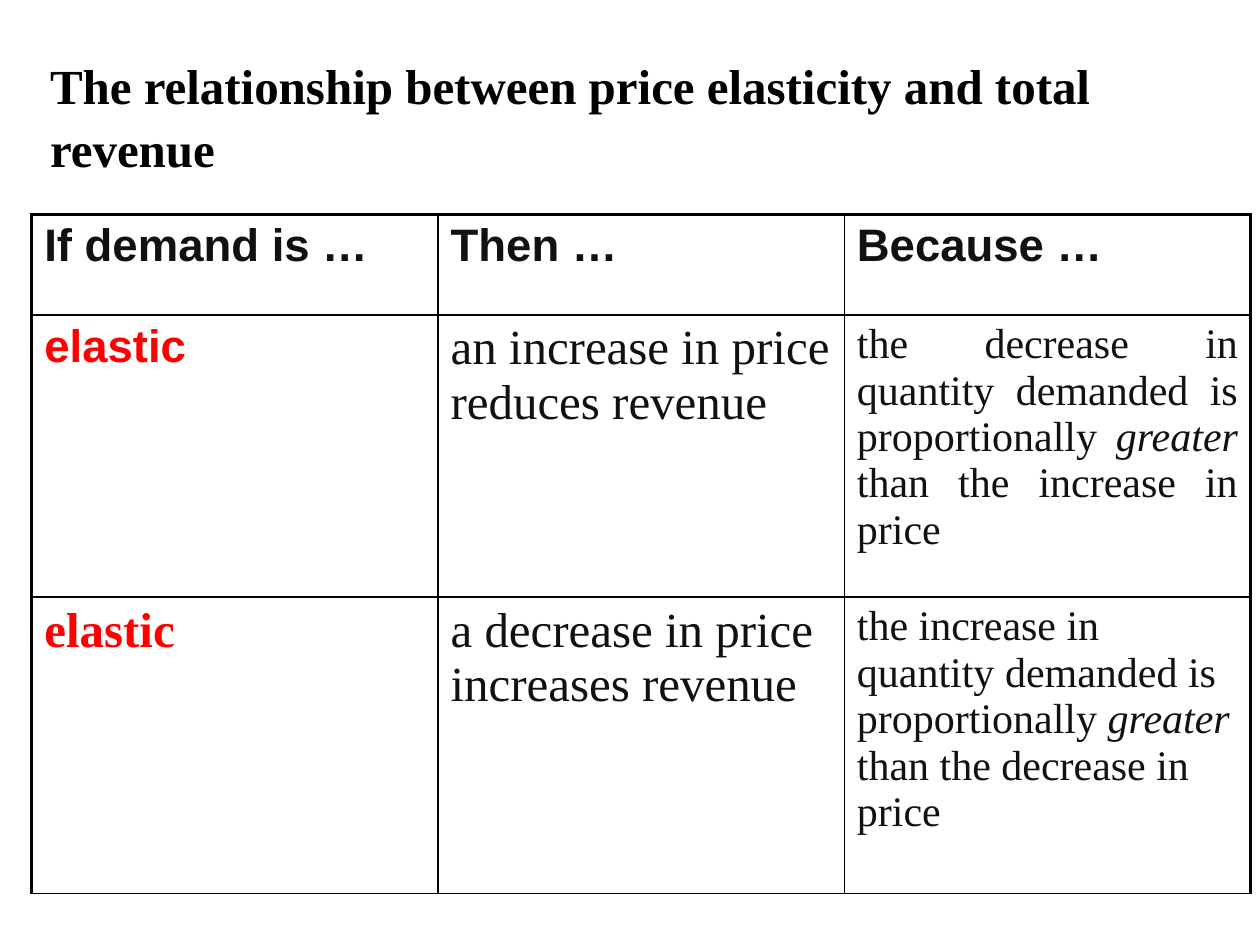
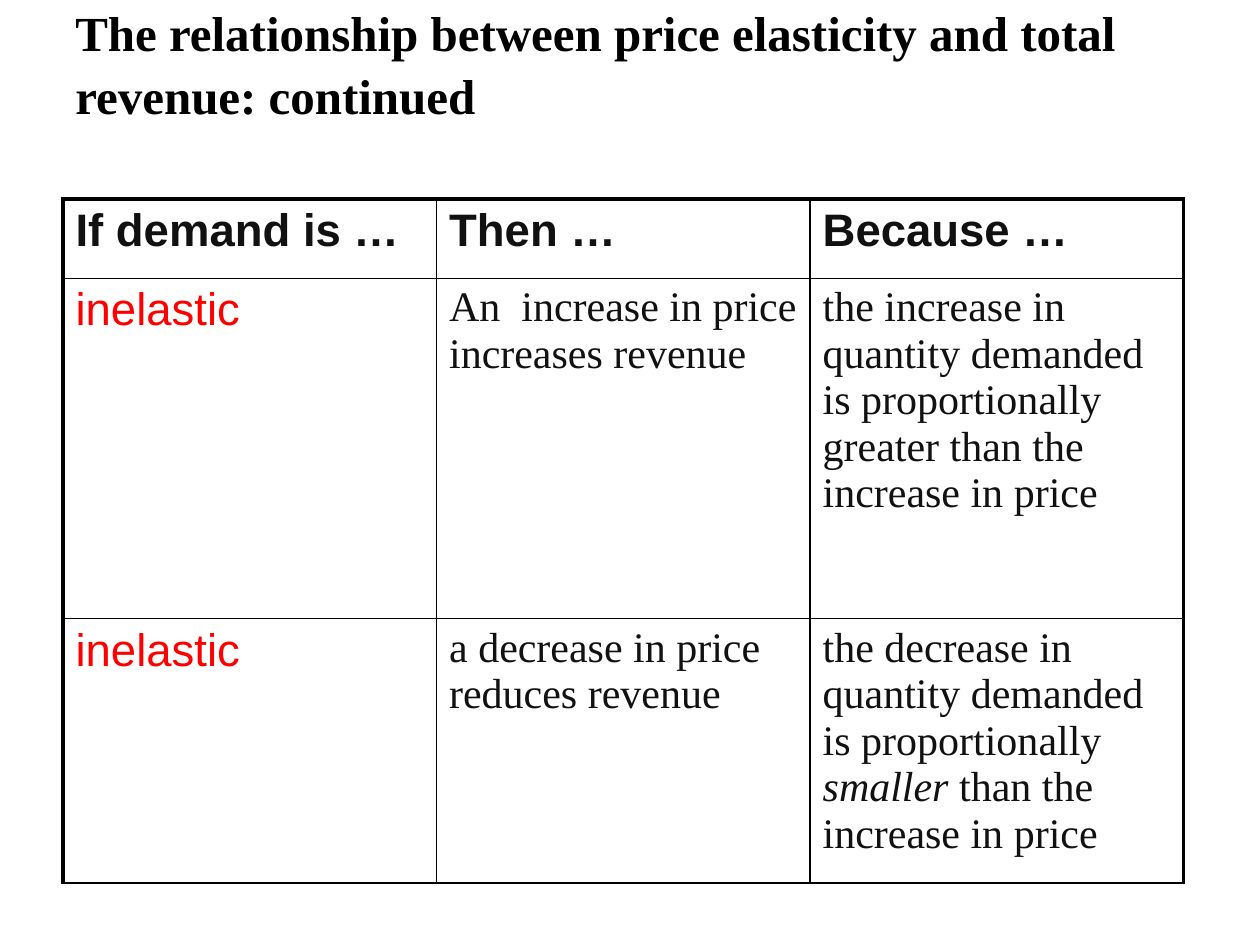
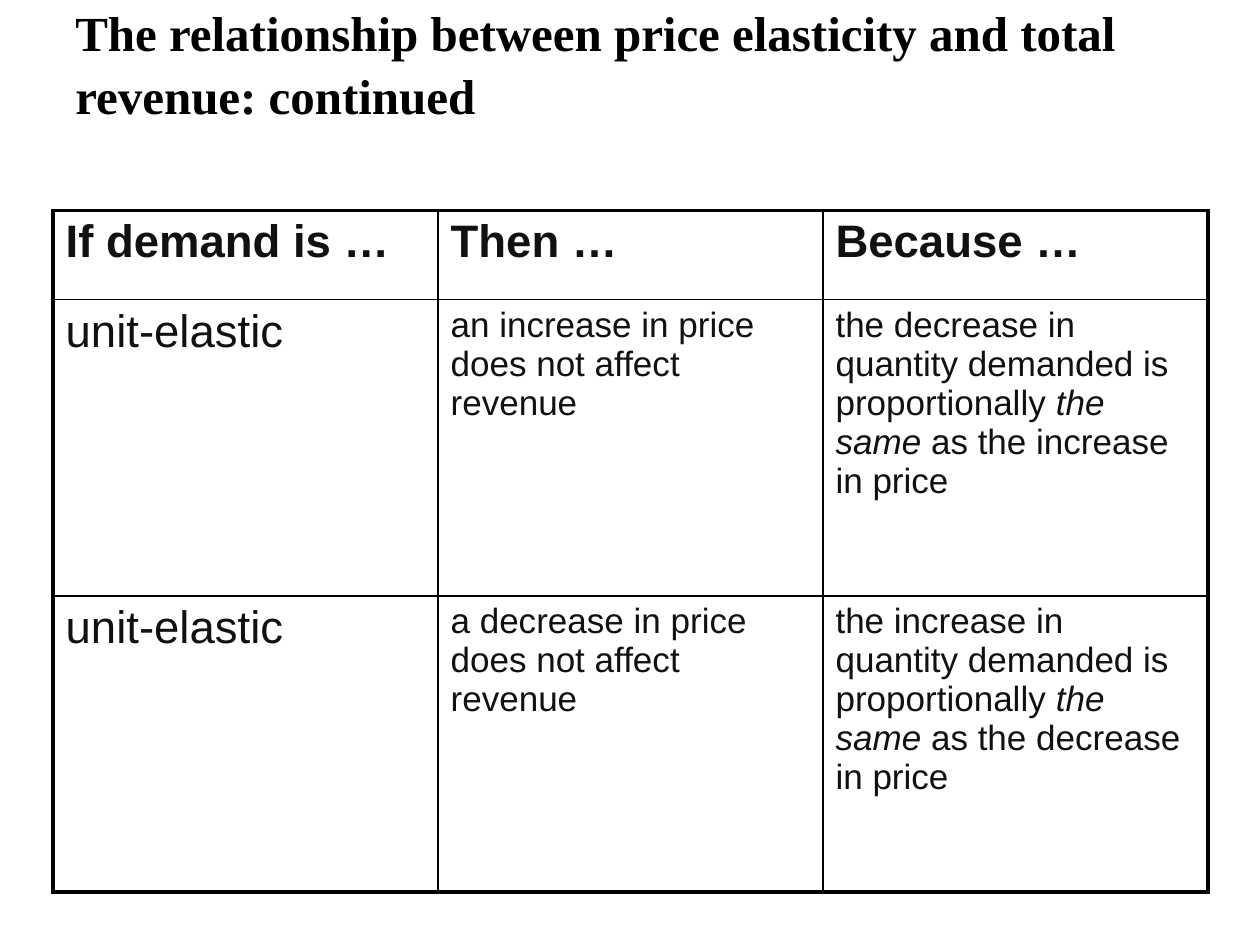
from dataclasses import dataclass

from lxml.etree import SubElement
from pptx import Presentation
from pptx.dml.color import RGBColor as RGB
from pptx.enum.text import MSO_ANCHOR as ANCHOR, PP_ALIGN as ALIGN
from pptx.oxml.ns import qn
from pptx.slide import Slide
from pptx.table import _Cell as TableCell
from pptx.util import Cm, Pt


# Theme: colours, fonts, type sizes and line widths
@dataclass(frozen=True)
class Theme:
    paper: str = "FFFFFF"
    ink: str = "000000"
    body: str = "111111"
    accent: str = "FF0000"
    sans: str = "Arial"
    serif: str = "Times New Roman"
    large: int = 28
    head: int = 26
    text: int = 24
    small: int = 20
    thin: float = 1
    thick: float = 2.25
    title_spacing: float = 1.08


T = Theme()


@dataclass(frozen=True)
class Style:
    font: str
    size: int
    color: str = T.body
    bold: bool = False


@dataclass(frozen=True)
class Cell:
    text: str  # asterisks enclose italics
    style: Style
    align: ALIGN = ALIGN.LEFT


@dataclass(frozen=True)
class Box:
    left: float
    top: float
    width: float
    height: float


@dataclass(frozen=True)
class Grid:
    left: float
    top: float
    col_width: float
    row_heights: tuple[float, ...]
    bottom_line: float = T.thin


@dataclass(frozen=True)
class Page:
    title: str
    title_box: Box
    grid: Grid
    rows: tuple[tuple[Cell, ...], ...]


TITLE = Style(T.serif, T.large, T.ink, True)
HEAD = Style(T.sans, T.head, bold=True)
ELASTIC = Style(T.sans, T.head, T.accent, True)
ELASTIC_SERIF = Style(T.serif, T.large, T.accent, True)
INELASTIC = Style(T.sans, T.head, T.accent)
UNIT = Style(T.sans, T.head)
EFFECT = Style(T.serif, T.large)
REASON = Style(T.serif, T.text)
SMALL = Style(T.sans, T.small)

HEADER = tuple(Cell(t, HEAD) for t in ("If demand is …", "Then …", "Because …"))
HEADING = "The relationship between price elasticity and total revenue"
CONTINUED = f"{HEADING}: continued"
CONTINUED_BOX = Box(1.27, 0, 22.58, 2.64)

PAGES = (
    Page(HEADING, Box(0.76, 0.03, 23.06, 3.68),
         Grid(0.64, 4.32, 8.19, (2.03, 5.69, 5.97)), (
        (Cell("elastic", ELASTIC),
         Cell("an increase in price reduces revenue", EFFECT),
         Cell("the decrease in quantity demanded is proportionally *greater* "
              "than the increase in price", REASON, ALIGN.JUSTIFY)),
        (Cell("elastic", ELASTIC_SERIF),
         Cell("a decrease in price increases revenue", EFFECT),
         Cell("the increase in quantity demanded is proportionally *greater *"
              "than the decrease in price", REASON)),
    )),
    Page(CONTINUED, CONTINUED_BOX,
         Grid(1.27, 4.01, 7.53, (1.6, 6.86, 5.31)), (
        (Cell("inelastic", INELASTIC),
         Cell("An  increase in price increases revenue", REASON),
         Cell("the increase in quantity demanded is proportionally greater "
              "than the increase in price", REASON)),
        (Cell("inelastic", INELASTIC),
         Cell("a decrease in price reduces revenue", REASON),
         Cell("the decrease in quantity demanded is proportionally *smaller* "
              "than the increase in price", REASON)),
    )),
    Page(CONTINUED, CONTINUED_BOX,
         Grid(1.07, 4.24, 7.76, (1.8, 5.97, 5.97), T.thick), (
        (Cell("unit-elastic", UNIT),
         Cell("an increase in price does not affect revenue", SMALL),
         Cell("the decrease in quantity demanded is proportionally *the same* "
              "as the increase in price", SMALL)),
        (Cell("unit-elastic", UNIT),
         Cell("a decrease in price does not affect revenue", SMALL),
         Cell("the increase in quantity demanded is proportionally *the same* "
              "as the decrease in price", SMALL)),
    )),
)


# Text
def write(p, text: str, style: Style) -> None:
    for i, part in enumerate(text.split("*")):
        r = p.add_run()
        r.text = part
        formats = {"name": style.font, "size": Pt(style.size),
                   "bold": style.bold, "italic": i % 2 == 1}
        for name, value in formats.items():
            setattr(r.font, name, value)
        r.font.color.rgb = RGB.from_string(style.color)


def add_title(s: Slide, text: str, box: Box) -> None:
    sp = s.shapes.add_textbox(Cm(box.left), Cm(box.top), Cm(box.width), Cm(box.height))
    sp.fill.solid()
    sp.fill.fore_color.rgb = RGB.from_string(T.paper)
    tf = sp.text_frame
    tf.word_wrap = True
    tf.vertical_anchor = ANCHOR.BOTTOM
    p = tf.paragraphs[0]
    p.line_spacing = T.title_spacing
    write(p, text, TITLE)


# Table
def set_borders(cell: TableCell, widths: dict[str, float]) -> None:
    tc_pr = cell._tc.get_or_add_tcPr()
    for side, width in widths.items():
        ln = SubElement(tc_pr, qn(f"a:ln{side}"), w=str(Pt(width)))
        fill = SubElement(ln, qn("a:solidFill"))
        SubElement(fill, qn("a:srgbClr"), val=T.ink)


def add_grid(s: Slide, grid: Grid, rows: tuple[tuple[Cell, ...], ...]) -> None:
    n_rows, n_cols = len(rows), len(rows[0])
    table = s.shapes.add_table(
        n_rows, n_cols, Cm(grid.left), Cm(grid.top),
        Cm(grid.col_width * n_cols), Cm(sum(grid.row_heights))).table
    table.first_row = table.horz_banding = False
    for col in table.columns:
        col.width = Cm(grid.col_width)
    for row, height in zip(table.rows, grid.row_heights):
        row.height = Cm(height)

    for i, row in enumerate(rows):
        for j, content in enumerate(row):
            cell = table.cell(i, j)
            set_borders(cell, {
                "L": T.thick if j == 0 else T.thin,
                "R": T.thick if j == n_cols - 1 else T.thin,
                "T": T.thick if i == 0 else T.thin,
                "B": grid.bottom_line if i == n_rows - 1 else T.thin,
            })
            cell.fill.background()
            p = cell.text_frame.paragraphs[0]
            p.alignment = content.align
            write(p, content.text, content.style)


def main() -> None:
    prs = Presentation()
    prs.slide_width, prs.slide_height = Cm(25.4), Cm(19.05)
    for page in PAGES:
        s = prs.slides.add_slide(prs.slide_layouts[6])
        add_title(s, page.title, page.title_box)
        add_grid(s, page.grid, (HEADER, *page.rows))
    prs.save("out.pptx")


if __name__ == "__main__":
    main()
